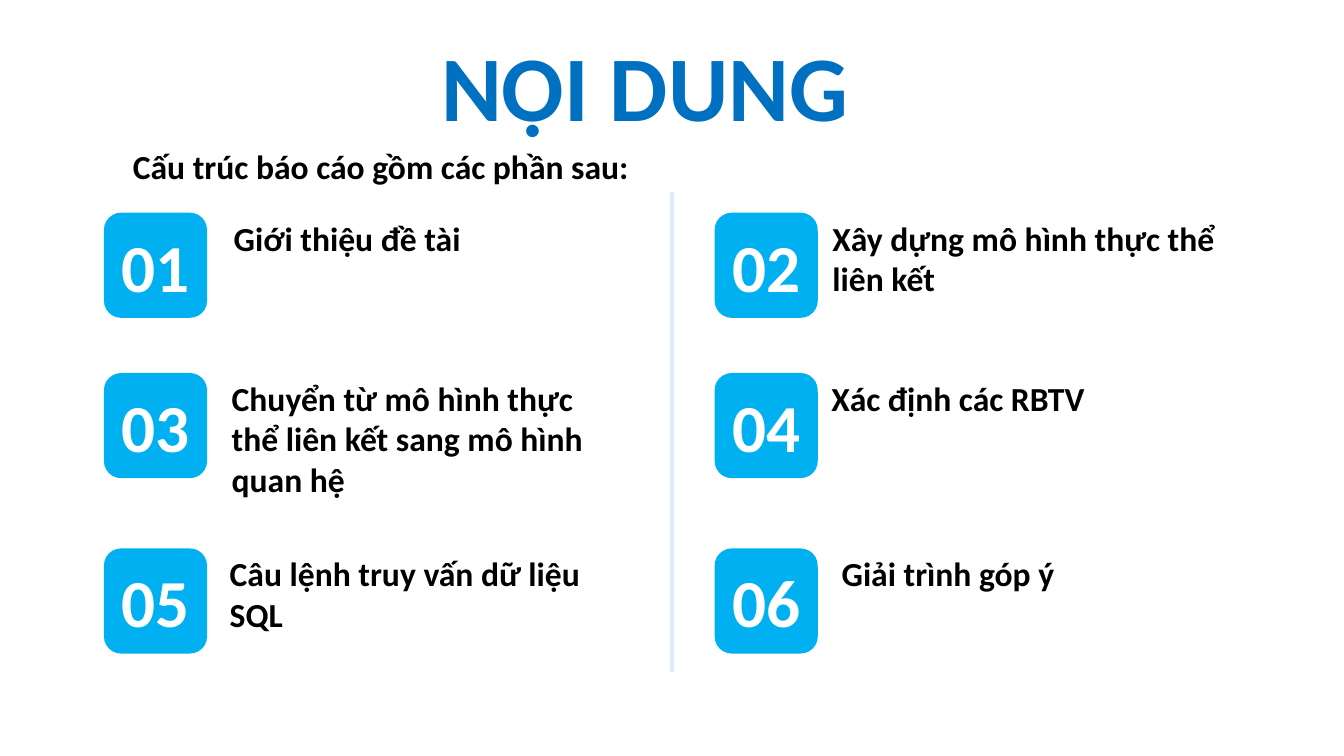
import pptx
import pptx.util
import pptx.dml.color
import pptx.enum.shapes
import pptx.enum.text
import pptx.oxml.ns
import lxml.etree

Cm = pptx.util.Cm
Color = pptx.dml.color.RGBColor
BLUE = Color(0x00, 0x70, 0xC0)
SKY = Color(0x00, 0xB0, 0xF0)
PALE = Color(0xDE, 0xEB, 0xF7)
BLACK = Color(0x00, 0x00, 0x00)
WHITE = Color(0xFF, 0xFF, 0xFF)


class Deck:
    """Hold the font and current slide, and draw each kind of element."""

    def __init__(self, font):
        self.font = font
        self.show = pptx.Presentation()
        self.show.slide_width = Cm(33.87)
        self.show.slide_height = Cm(19.05)
        self.slide = self.show.slides.add_slide(self.show.slide_layouts[6])

    def label(self, shape, text, size, color):
        shape.text_frame.text = text
        para = shape.text_frame.paragraphs[0]
        para.font.name = self.font
        para.font.size = pptx.util.Pt(size)
        para.font.bold = True
        para.font.color.rgb = color
        return para

    def text(self, home, text, left, top, width, height, size=24, color=BLACK, wrap=True):
        box = home.shapes.add_textbox(Cm(left), Cm(top), Cm(width), Cm(height))
        box.text_frame.word_wrap = wrap
        box.text_frame.auto_size = pptx.enum.text.MSO_AUTO_SIZE.SHAPE_TO_FIT_TEXT
        self.label(box, text, size, color)

    def badge(self, home, text, left, top):
        kind = pptx.enum.shapes.MSO_SHAPE.ROUNDED_RECTANGLE
        badge = home.shapes.add_shape(kind, Cm(left), Cm(top), Cm(2.6), Cm(2.65))
        badge.shadow.inherit = False
        badge.fill.solid()
        badge.fill.fore_color.rgb = SKY
        badge.line.fill.background()
        badge.text_frame.vertical_anchor = pptx.enum.text.MSO_ANCHOR.MIDDLE
        para = self.label(badge, text, 48, WHITE)
        para.alignment = pptx.enum.text.PP_ALIGN.CENTER

    def item(self, num, text, left, top, start, width, rows):
        group = self.slide.shapes.add_group_shape()
        self.badge(group, f"{num:02}", left, top)
        self.text(group, text, start, top, width, 0.25 + 1.02 * rows)

    def rule(self, left, top, end):
        kind = pptx.enum.shapes.MSO_CONNECTOR.STRAIGHT
        line = self.slide.shapes.add_connector(kind, Cm(left), Cm(top), Cm(left), Cm(end))
        line.line.color.rgb = PALE
        line.line.width = pptx.util.Pt(3)
        props = line._element.spPr
        lxml.etree.SubElement(props, pptx.oxml.ns.qn("a:effectLst"))


LEFTS = (2.62, 18.01)
TOPS = (5.36, 9.4, 13.82)
ITEMS = (
    ("Giới thiệu đề tài", 5.64, 9.5, 1),
    ("Xây dựng mô hình thực thể liên kết", 20.73, 10.64, 2),
    ("Chuyển từ mô hình thực thể liên kết sang mô hình quan hệ", 5.59, 10.29, 3),
    ("Xác định các RBTV", 20.7, 11.81, 1),
    ("Câu lệnh truy vấn dữ liệu SQL", 5.54, 9.47, 2),
    ("Giải trình góp ý", 20.96, 9.47, 1),
)


def main():
    deck = Deck("Calibri")
    deck.text(deck.slide, "NỘI DUNG", 10.87, 0.61, 10.87, 3.07, 66, BLUE, False)
    deck.text(deck.slide, "Cấu trúc báo cáo gồm các phần sau:", 3.1, 3.56, 13.21, 1.27, wrap=False)
    deck.rule(16.94, 4.83, 16.94)
    for index, (text, start, width, rows) in enumerate(ITEMS):
        row, col = divmod(index, 2)
        deck.item(index + 1, text, LEFTS[col], TOPS[row], start, width, rows)
    deck.show.save("out.pptx")


if __name__ == "__main__":
    main()
